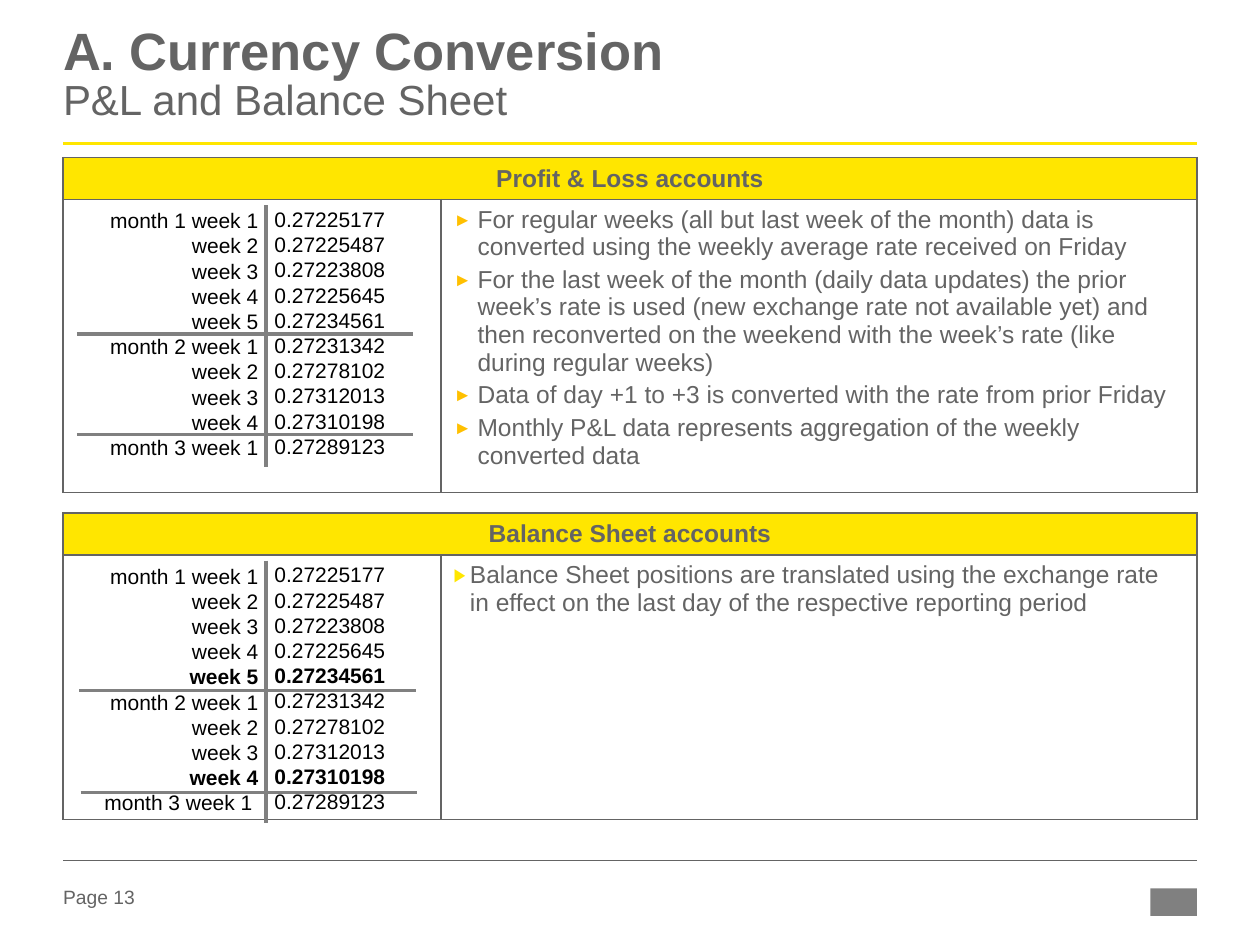
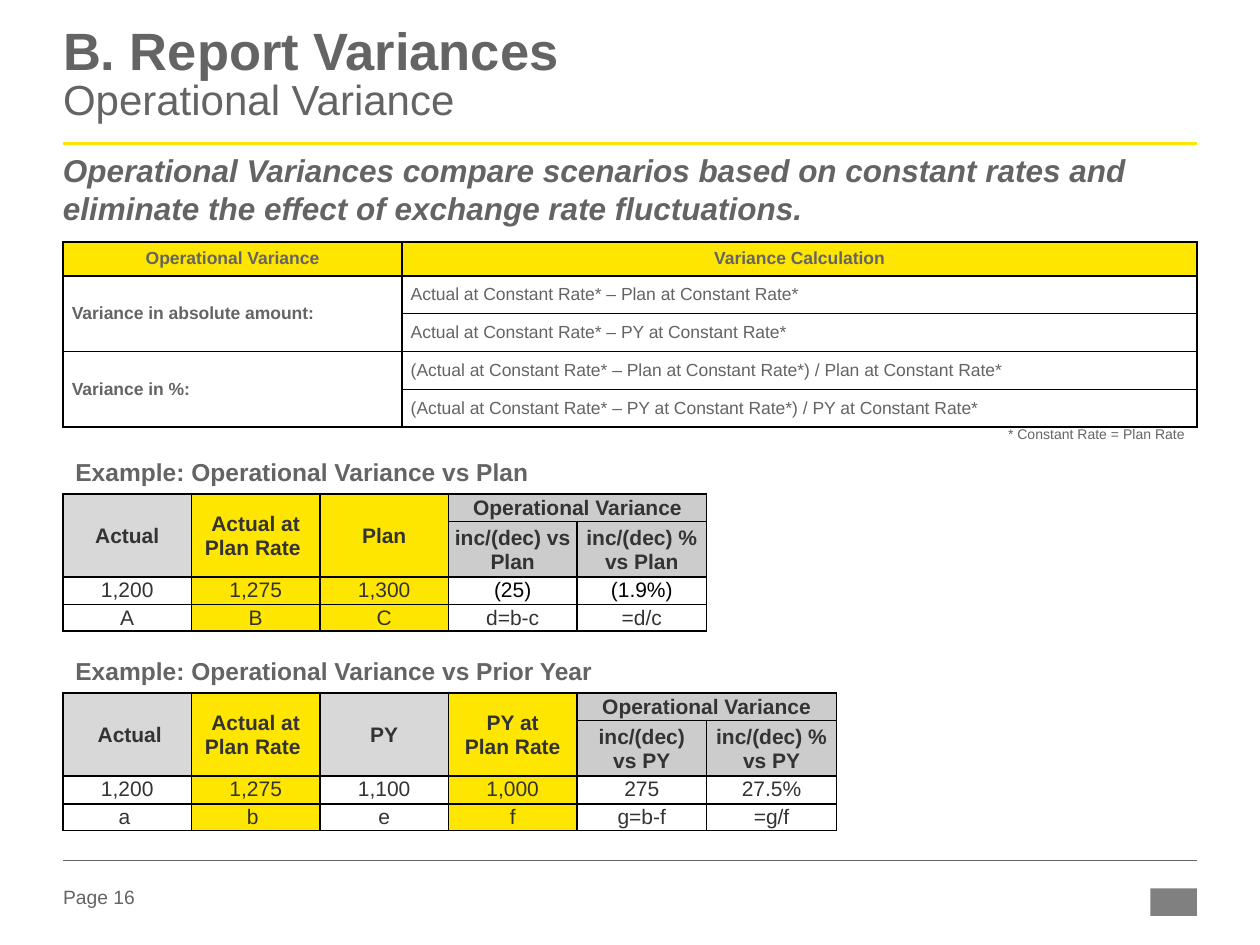
"""Builds two slides on currency conversion and report variances."""
from copy import deepcopy
from dataclasses import dataclass
from typing import NamedTuple, Optional

from lxml.etree import SubElement
from pptx import Presentation
from pptx.dml.color import RGBColor
from pptx.enum.shapes import MSO_CONNECTOR, MSO_SHAPE
from pptx.enum.text import MSO_ANCHOR, PP_ALIGN
from pptx.oxml.ns import qn
from pptx.util import Inches, Pt

HUES = {
    "gold": "FFE600", "amber": "FFC000", "text": "646464", "line": "808080",
    "pale": "D8D8D8", "mid": "CCCCCC", "ink": "333333", "black": "000000",
    "white": "FFFFFF",
}
LEFT, CENTER, RIGHT = PP_ALIGN.LEFT, PP_ALIGN.CENTER, PP_ALIGN.RIGHT
TOP, MIDDLE = MSO_ANCHOR.TOP, MSO_ANCHOR.MIDDLE
EDGE, WIDE = 0.5, 9

RATES = ["0.27225177", "0.27225487", "0.27223808", "0.27225645", "0.27234561",
         "0.27231342", "0.27278102", "0.27312013", "0.27310198", "0.27289123"]
WEEKS = (["month 1 week 1"] + [f"week {n}" for n in range(2, 6)]
         + ["month 2 week 1"] + [f"week {n}" for n in range(2, 5)])


@dataclass(frozen=True)
class Cell:
    """Describes one table cell and the cells it spans."""
    text: str = ""
    fill: str = ""
    color: str = "text"
    bold: bool = False
    align: PP_ALIGN = CENTER
    anchor: MSO_ANCHOR = MIDDLE
    rows: int = 1
    cols: int = 1
    mark: str = ""
    dent: float = 0
    after: float = 0


@dataclass(frozen=True)
class Grid:
    """Describes a table: place, sizes, cells and border."""
    top: float
    cols: list[float]
    rows: list[float]
    cells: list[list[Optional[Cell]]]
    size: float
    pads: tuple[float, float, float, float]
    edge: str = "black"


@dataclass(frozen=True)
class Panel:
    """Describes an accounts panel with its rates and notes."""
    name: str
    top: float
    body: float
    notes: Cell
    last: str
    cuts: list[tuple[float, float]]
    bold: tuple[int, ...] = ()


class Col(NamedTuple):
    """Describes one column of an example table."""
    head: str
    value: str
    key: str
    fill: str
    color: str = "ink"


PANELS = [
    Panel("Balance Sheet accounts", 4.07, 2.1, Cell(
        "Balance Sheet positions are translated using the exchange rate in "
        "effect on the last day of the respective reporting period",
        "white", align=LEFT, anchor=TOP, mark="▶ gold", dent=0.13),
        "month 3 week 1 ", [(0.63, 5.48), (0.64, 6.29)], (4, 8)),
    Panel("Profit & Loss accounts", 1.25, 2.21, Cell(
        "For regular weeks (all but last week of the month) data is converted "
        "using the weekly average rate received on Friday\n"
        "For the last week of the month (daily data updates) the prior week’s "
        "rate is used (new exchange rate not available yet) and then "
        "reconverted on the weekend with the week’s rate (like during regular "
        "weeks)\n"
        "Data of day +1 to +3 is converted with the rate from prior Friday\n"
        "Monthly P&L data represents aggregation of the weekly converted data",
        "white", align=LEFT, anchor=TOP, mark="► amber", dent=0.19, after=3),
        "month 3 week 1", [(0.61, 2.65), (0.61, 3.45)]),
]

ACTUAL = Col("Actual at\nPlan Rate ", "1,275", "B", "gold")
PLAN = [
    Col("Actual", "1,200", "A", "pale"), ACTUAL,
    Col("Plan", "1,300", "C", "gold"),
    Col("inc/(dec) vs Plan", "(25)", "d=b-c", "mid", "black"),
    Col("inc/(dec) %\nvs Plan", "(1.9%)", "=d/c", "mid", "black"),
]
PRIOR = [
    Col(" Actual", "1,200", "a ", "pale"), ACTUAL._replace(key="b "),
    Col("PY", "1,100", "e", "pale"),
    Col("PY at\nPlan Rate", "1,000", "f", "gold"),
    Col("inc/(dec)\nvs PY", "275", "g=b-f", "mid"),
    Col("inc/(dec) %\nvs PY", "27.5%", "=g/f", "mid"),
]
RULES = [
    ("Variance in absolute amount:", [
        "Actual at Constant Rate* – Plan at Constant Rate*",
        "Actual at Constant Rate* – PY at Constant Rate*"]),
    ("Variance in %:", [
        "(Actual at Constant Rate* – Plan at Constant Rate*) / Plan at Constant Rate*",
        "(Actual at Constant Rate* – PY at Constant Rate*) / PY at Constant Rate*"]),
]


def hue(name: str) -> RGBColor:
    """Return the named colour."""
    return RGBColor.from_string(HUES[name])


def dress(font, size: float, color: str = "text", **marks) -> None:
    """Format a font."""
    look = {"name": "Arial", "size": Pt(size), "bold": False, **marks}
    for key, value in look.items():
        setattr(font, key, value)
    font.color.rgb = hue(color)


def frame_up(frame, pads, anchor=TOP) -> None:
    """Set the insets, anchor and wrapping of a text frame."""
    left, top, right, low = map(Inches, pads)
    look = {"margin_left": left, "margin_top": top, "margin_right": right,
            "margin_bottom": low, "vertical_anchor": anchor, "word_wrap": True}
    for key, value in look.items():
        setattr(frame, key, value)


def add_mark(para, mark: str, dent: float) -> None:
    """Give a paragraph a coloured bullet with a hanging indent."""
    sign, color = mark.split()
    props = para._p.get_or_add_pPr()
    props.set("marL", str(Inches(dent)))
    props.set("indent", str(-Inches(dent)))
    tint = SubElement(props, qn("a:buClr"))
    SubElement(tint, qn("a:srgbClr"), val=HUES[color])
    SubElement(props, qn("a:buSzPct"), val="75000")
    SubElement(props, qn("a:buFont"), typeface="Arial")
    SubElement(props, qn("a:buChar"), char=sign)


def add_text(slide, box, lines: list[str], size: float, color: str = "text",
             align=LEFT, pads=(0.1, 0.05, 0.1, 0.05), anchor=TOP,
             heavy: tuple[int, ...] = (), **marks) -> None:
    """Add a text box with one paragraph a line."""
    frame = slide.shapes.add_textbox(*map(Inches, box)).text_frame
    frame_up(frame, pads, anchor)
    frame.text = "\n".join(lines)
    for row, para in enumerate(frame.paragraphs):
        para.alignment = align
        dress(para.runs[0].font, size, color, **{"bold": row in heavy, **marks})


def add_line(slide, start, end, color: str, width: float) -> None:
    """Draw a straight line without a shadow."""
    line = slide.shapes.add_connector(
        MSO_CONNECTOR.STRAIGHT, *map(Inches, (*start, *end)))
    line.line.color.rgb = hue(color)
    line.line.width = Pt(width)
    SubElement(line._element.spPr, qn("a:effectLst"))


def add_edges(cell, color: str) -> None:
    """Draw the four borders of a cell."""
    props = cell._tc.get_or_add_tcPr()
    for side in ("lnL", "lnR", "lnT", "lnB"):
        edge = SubElement(props, qn(f"a:{side}"), w=str(Pt(1)))
        fill = SubElement(edge, qn("a:solidFill"))
        SubElement(fill, qn("a:srgbClr"), val=HUES[color])


def fill_cell(cell, data: Cell, grid: Grid) -> None:
    """Fill a table cell with its text and formats."""
    add_edges(cell, grid.edge)
    if data.fill:
        cell.fill.solid()
        cell.fill.fore_color.rgb = hue(data.fill)
    else:
        cell.fill.background()
    frame_up(cell, grid.pads, data.anchor)
    cell.text = data.text
    for para in cell.text_frame.paragraphs:
        if data.mark:
            add_mark(para, data.mark, data.dent)
        para.alignment = data.align
        para.space_after = Pt(data.after)
        for run in para.runs:
            dress(run.font, grid.size, data.color, bold=data.bold)
        if not para.runs:
            SubElement(para._p, qn("a:endParaRPr"), sz=str(int(grid.size * 100)))


def add_grid(slide, grid: Grid) -> None:
    """Add a table; a missing cell is covered by a span."""
    box = (EDGE, grid.top, sum(grid.cols), sum(grid.rows))
    table = slide.shapes.add_table(
        len(grid.rows), len(grid.cols), *map(Inches, box)).table
    table.first_row = table.horz_banding = False
    for col, width in zip(table.columns, grid.cols):
        col.width = Inches(width)
    for row, height in zip(table.rows, grid.rows):
        row.height = Inches(height)
    for y, line in enumerate(grid.cells):
        for x, data in enumerate(line):
            cell = table.cell(y, x)
            fill_cell(cell, data or Cell(), grid)
            if data and data.rows * data.cols > 1:
                cell.merge(table.cell(y + data.rows - 1, x + data.cols - 1))


def add_page(deck, head: str, sub: str, page: int):
    """Add a slide with its title, rules and footer."""
    slide = deck.slides.add_slide(deck.slide_layouts[5])
    title = slide.shapes.title
    title.left, title.top, title.width, title.height = map(
        Inches, (EDGE, 0.22, WIDE, 0.94))
    frame_up(title.text_frame, (0, 0, 0, 0))
    para = title.text_frame.paragraphs[0]
    para.alignment, para.line_spacing = LEFT, 0.85
    first = para.add_run()
    first.text = head
    dress(first.font, 30, bold=True)
    para.add_line_break()
    para._p[-1].append(deepcopy(first._r.rPr))
    second = para.add_run()
    second.text = sub
    dress(second.font, 24)
    for y, color, width in ((1.14, "gold", 1.5), (6.83, "text", 0.25)):
        add_line(slide, (EDGE, y), (EDGE + WIDE, y), color, width)
    add_text(slide, (EDGE, 7.01, 0.79, 0.22), [f"Page {page}"], 11,
             pads=(0, 0, 0, 0), anchor=MIDDLE)
    badge = slide.shapes.add_shape(
        MSO_SHAPE.RECTANGLE, *map(Inches, (9.13, 7.05, 0.37, 0.22)))
    badge.shadow.inherit = False
    badge.fill.solid()
    badge.fill.fore_color.rgb = hue("line")
    badge.line.fill.background()
    return slide


def add_panel(slide, panel: Panel) -> None:
    """Draw an accounts panel with its list of rates."""
    head = Cell(panel.name, "gold", bold=True, cols=2)
    add_grid(slide, Grid(
        panel.top, [3, 6], [0.32, panel.body],
        [[head, None], [Cell(fill="white"), panel.notes]],
        14, (0.1, 0.05, 0.1, 0.05), "text"))
    top = panel.top + 0.34
    add_text(slide, (2.08, top, 1.17, 2.12), RATES, 12, "black",
             heavy=panel.bold)
    add_text(slide, (0.68, top + 0.01, 1.47, 2.12), WEEKS + [panel.last], 12,
             "black", RIGHT, heavy=panel.bold)
    add_line(slide, (2.11, top + 0.04), (2.11, top + 2.12), "line", 2)
    for x, y in panel.cuts:
        add_line(slide, (x, y), (x + 2.67, y), "line", 2)


def add_case(slide, name: str, top: float, cols: list[Col]) -> None:
    """Draw an example whose last two columns share a head."""
    add_text(slide, (EDGE, top, 4.88, 0.34), [name], 14, bold=True)
    base, last = cols[:-2], cols[-2:]
    look = {"color": "ink", "bold": True}
    heads = [Cell(col.head, col.fill, rows=2, **look) for col in base]
    heads += [Cell("Operational Variance", "mid", cols=2, **look), None]
    subs = [None] * len(base) + [Cell(col.head, col.fill, **look) for col in last]
    fills = ["gold" if col.fill == "gold" else "" for col in cols]
    values = [Cell(col.value, fill, col.color, anchor=TOP)
              for col, fill in zip(cols, fills)]
    keys = [Cell(col.key, fill, "ink", anchor=TOP)
            for col, fill in zip(cols, fills)]
    add_grid(slide, Grid(
        top + 0.34, [1.02] * 4 + [1.03] * (len(cols) - 4),
        [0.22, 0.44, 0.22, 0.21], [heads, subs, values, keys],
        12, (0.01, 0.01, 0.01, 0)))


def main() -> None:
    """Build and save the deck."""
    deck = Presentation()
    deck.slide_width, deck.slide_height = Inches(10), Inches(7.5)
    slide = add_page(deck, "A. Currency Conversion", "P&L and Balance Sheet", 13)
    for panel in PANELS:
        add_panel(slide, panel)

    slide = add_page(deck, "B. Report Variances ", "Operational Variance", 16)
    add_text(slide, (EDGE, 1.2, WIDE, 0.58), [
        "Operational Variances compare scenarios based on constant rates and "
        "eliminate the effect of exchange rate fluctuations."], 18,
        pads=(0, 0, 0, 0), bold=True, italic=True)
    cells = [[Cell(name, "gold", bold=True)
              for name in ("Operational Variance", "Variance Calculation")]]
    for name, sums in RULES:
        lead = Cell(name, bold=True, align=LEFT, rows=2, after=3)
        cells += [[None if row else lead, Cell(text, align=LEFT)]
                  for row, text in enumerate(sums)]
    add_grid(slide, Grid(1.92, [2.69, 6.31], [0.27] + [0.3] * 4, cells,
                         10, (0.07, 0, 0.07, 0)))
    add_text(slide, (8, 3.38, 1.58, 0.22), ["* Constant Rate = Plan Rate"], 8,
             pads=(0, 0, 0, 0))
    add_case(slide, "Example: Operational Variance vs Plan", 3.58, PLAN)
    add_case(slide, "Example: Operational Variance vs Prior Year", 5.16, PRIOR)
    deck.save("out.pptx")


if __name__ == "__main__":
    main()
